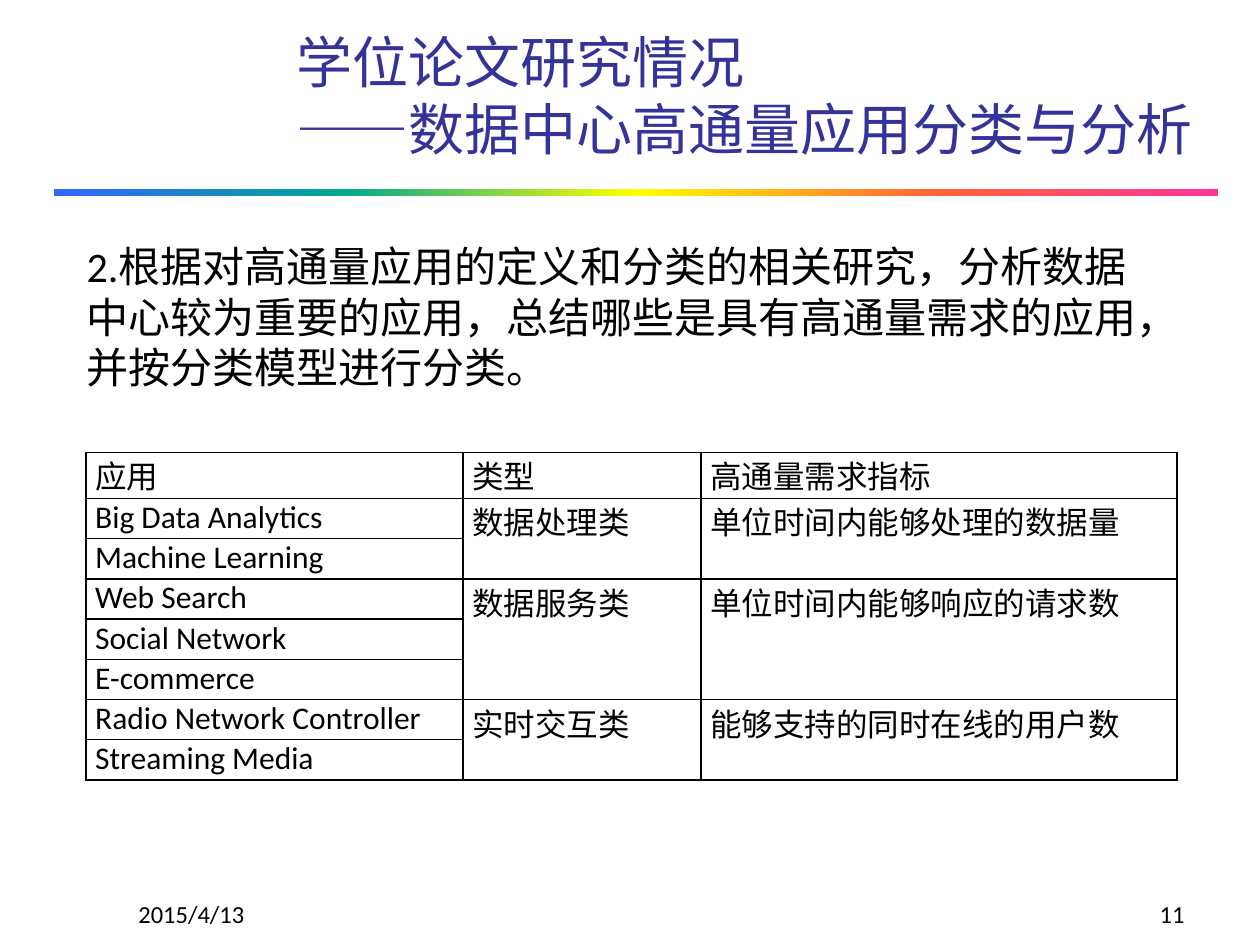
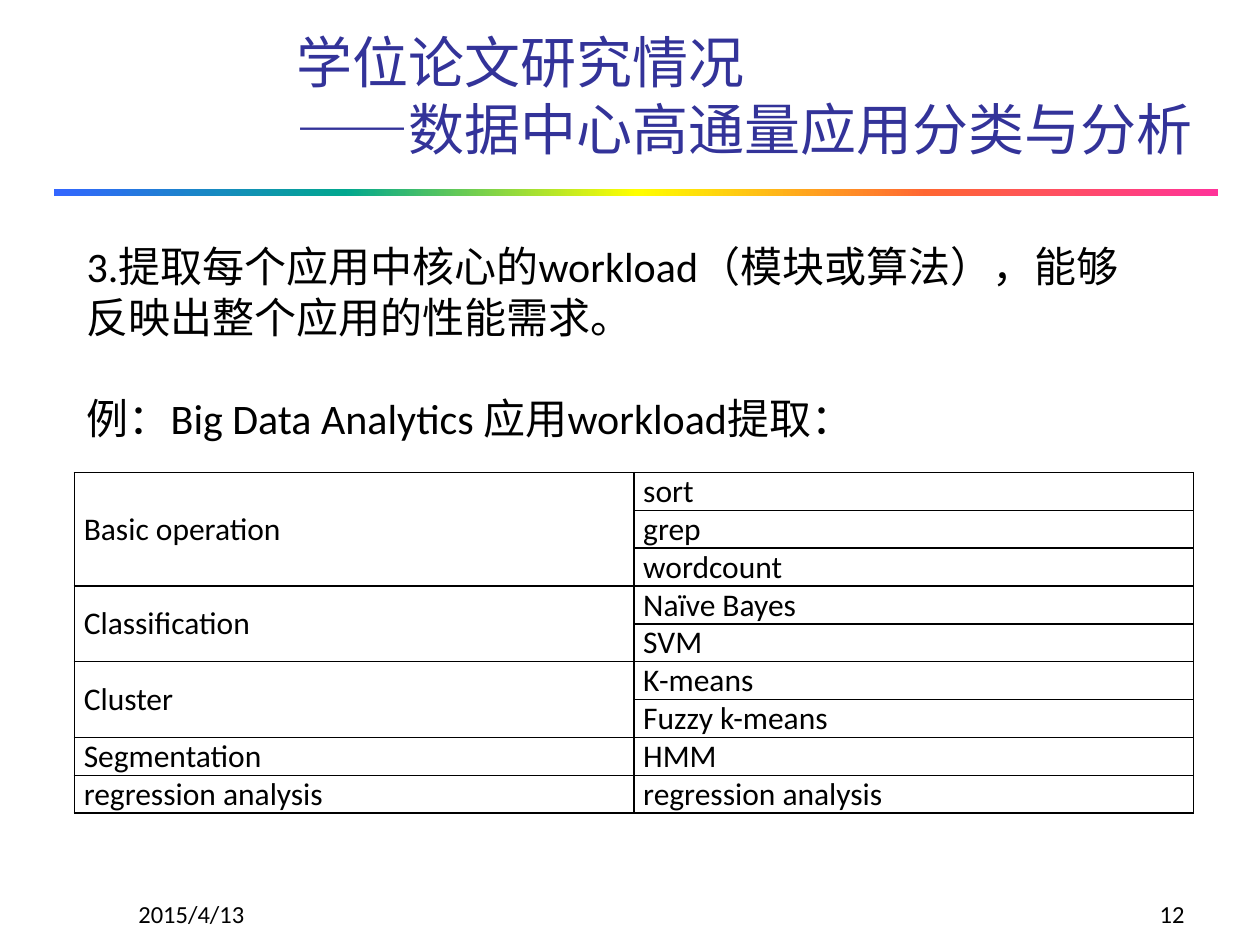
"""Builds two thesis slides on classifying high-throughput data centre applications."""
from lxml import etree
from pptx import Presentation
from pptx.dml.color import RGBColor
from pptx.enum.shapes import MSO_SHAPE
from pptx.enum.text import MSO_ANCHOR, MSO_AUTO_SIZE, PP_ALIGN
from pptx.oxml import parse_xml
from pptx.oxml.ns import nsdecls, qn
from pptx.util import Pt

RECTANGLE = MSO_SHAPE.RECTANGLE
TOP, MIDDLE, BOTTOM = MSO_ANCHOR.TOP, MSO_ANCHOR.MIDDLE, MSO_ANCHOR.BOTTOM
LEFT, RIGHT, JUSTIFY = PP_ALIGN.LEFT, PP_ALIGN.RIGHT, PP_ALIGN.JUSTIFY
NO_AUTOFIT = MSO_AUTO_SIZE.NONE

BLACK, WHITE, TITLE_BLUE = "000000", "FFFFFF", "333399"
RAINBOW = ["3366FF", "01A78F", "FFFF00", "FF6633", "FF3399"]
TITLE = "学位论文研究情况\v——数据中心高通量应用分类与分析"
DATE = "2015/4/13"

TITLE_FONT = {"name": "Cabin", "size": Pt(32)}
BODY_FONT = {"name": "Calibri", "size": Pt(24)}
CELL_FONT = {"name": "Calibri", "size": Pt(18)}
FOOTER_FONT = {"name": "Calibri", "size": Pt(14)}
TITLE_PLACE = {"left": Pt(162), "top": Pt(6), "width": Pt(542), "height": Pt(90)}
BOTTOM_FRAME = {"word_wrap": True, "auto_size": NO_AUTOFIT, "vertical_anchor": BOTTOM}
CELL_MARGINS = {"margin_left": Pt(5.4), "margin_right": Pt(5.4),
                "margin_top": 0, "margin_bottom": 0}
PLAIN_TABLE = {"first_row": False, "horz_banding": False}

SLIDES = [
    {
        "number": "11",
        "body": ["2.根据对高通量应用的定义和分类的相关研究，分析数据中心较为重要的应用，"
                 "总结哪些是具有高通量需求的应用，并按分类模型进行分类。"],
        "body_size": (629, 94),
        "table_corner": (49, 258.5),
        "columns": [215.5, 136, 272],
        "header_height": 26.3,
        "row_height": 23,
        "anchor": TOP,
        "rows": [
            ["应用", "类型", "高通量需求指标"],
            ["Big Data Analytics", "数据处理类", "单位时间内能够处理的数据量"],
            ["Machine Learning", None, None],
            ["Web Search", "数据服务类", "单位时间内能够响应的请求数"],
            ["Social Network", None, None],
            ["E-commerce", None, None],
            ["Radio Network Controller", "实时交互类", "能够支持的同时在线的用户数"],
            ["Streaming Media", None, None],
        ],
    },
    {
        "number": "12",
        "body": ["3.提取每个应用中核心的workload（模块或算法），能够反映出整个应用的性能需求。",
                 "例：Big Data Analytics 应用workload提取："],
        "body_size": (612, 124),
        "table_corner": (42.5, 270),
        "columns": [319.7, 319.7],
        "header_height": 21.6,
        "row_height": 21.6,
        "anchor": MIDDLE,
        "rows": [
            ["Basic operation", "sort"],
            [None, "grep"],
            [None, "wordcount"],
            ["Classification", "Naïve Bayes"],
            [None, "SVM"],
            ["Cluster", "K-means"],
            [None, "Fuzzy k-means"],
            ["Segmentation", "HMM"],
            ["regression analysis", "regression analysis"],
        ],
    },
]


def assign(target, values):
    """Set each value on the target, reading rgb values as hex strings."""
    for key, value in values.items():
        setattr(target, key, RGBColor.from_string(value) if key == "rgb" else value)


def write(frame, lines, font, color=BLACK, alignment=LEFT, gap=0):
    """Fill a text frame with equally formatted paragraphs set apart by a gap."""
    for index, line in enumerate(lines):
        paragraph = frame.add_paragraph() if index else frame.paragraphs[0]
        paragraph.text = line
        assign(paragraph, {"alignment": alignment, "space_before": Pt(gap if index else 0)})
        for run in paragraph.runs:
            assign(run.font, font)
            assign(run.font.color, {"rgb": color})


deck = Presentation()
assign(deck, {"slide_width": Pt(720), "slide_height": Pt(540)})
title_only = deck.slide_layouts[5]

for content in SLIDES:
    slide = deck.slides.add_slide(title_only)

    band = slide.shapes.add_shape(RECTANGLE, Pt(31), Pt(108), Pt(665), Pt(4))
    band.shadow.inherit = False
    band.line.fill.background()
    band.fill.gradient()
    band.fill.gradient_angle = 0
    stops = band.fill._fill._gradFill.find(qn("a:gsLst"))
    stops.clear()
    for index, color in enumerate(RAINBOW):
        stop = etree.SubElement(stops, qn("a:gs"), pos=str(index * 25000))
        etree.SubElement(stop, qn("a:srgbClr"), val=color)

    heading = slide.shapes.title
    assign(heading, TITLE_PLACE)
    assign(heading.text_frame, BOTTOM_FRAME)
    write(heading.text_frame, [TITLE], TITLE_FONT, TITLE_BLUE)

    for left, text, alignment in [(72, DATE, LEFT), (534, content["number"], RIGHT)]:
        footer = slide.shapes.add_textbox(Pt(left), Pt(498), Pt(150), Pt(36)).text_frame
        assign(footer, BOTTOM_FRAME)
        write(footer, [text], FOOTER_FONT, alignment=alignment)

    width, height = content["body_size"]
    body = slide.shapes.add_textbox(Pt(42.5), Pt(134), Pt(width), Pt(height)).text_frame
    body.word_wrap = True
    write(body, content["body"], BODY_FONT, gap=29)

    rows, columns = content["rows"], content["columns"]
    heights = [content["header_height"]] + [content["row_height"]] * (len(rows) - 1)
    left, top = content["table_corner"]
    table = slide.shapes.add_table(len(rows), len(columns), Pt(left), Pt(top),
                                   Pt(sum(columns)), Pt(sum(heights))).table
    assign(table, PLAIN_TABLE)
    for column, column_width in zip(table.columns, columns):
        column.width = Pt(column_width)
    for row, row_height in zip(table.rows, heights):
        row.height = Pt(row_height)

    for column_index in range(len(columns)):
        for row_index, row in enumerate(rows):
            cell = table.cell(row_index, column_index)
            assign(cell, {**CELL_MARGINS, "vertical_anchor": content["anchor"]})
            cell.fill.solid()
            assign(cell.fill.fore_color, {"rgb": WHITE})
            for index, side in enumerate(["lnL", "lnR", "lnT", "lnB"]):
                border = parse_xml(
                    f'<a:{side} {nsdecls("a")} w="12700"><a:solidFill>'
                    f'<a:srgbClr val="{BLACK}"/></a:solidFill></a:{side}>')
                cell._tc.tcPr.insert(index, border)
            if row[column_index]:
                write(cell.text_frame, [row[column_index]], CELL_FONT, alignment=JUSTIFY)

        starts = [index for index, row in enumerate(rows) if row[column_index]]
        for start, end in zip(starts, starts[1:] + [len(rows)]):
            if end - start > 1:
                table.cell(start, column_index).merge(table.cell(end - 1, column_index))

deck.save("out.pptx")
